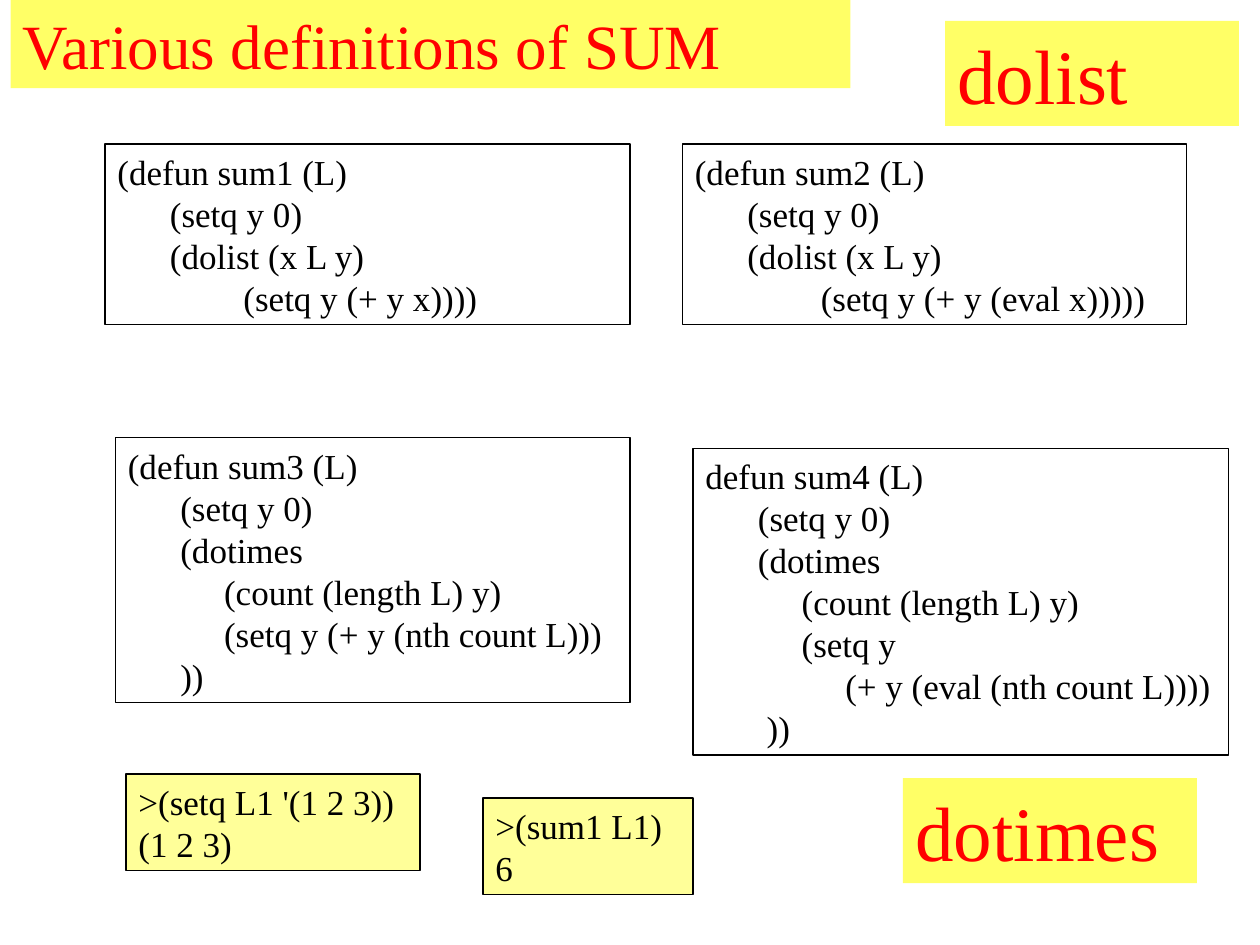
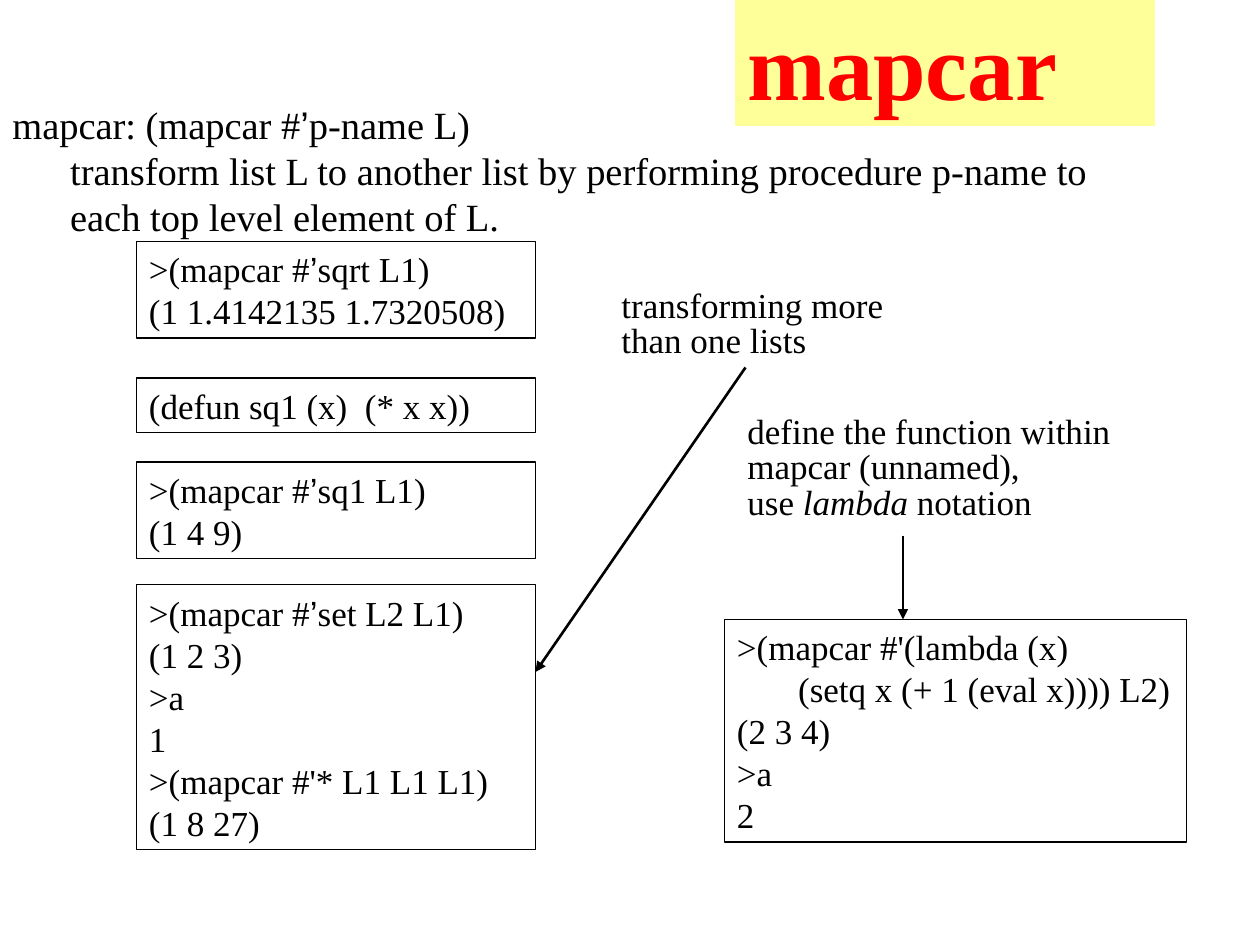
from dataclasses import dataclass

from lxml.etree import SubElement
from pptx import Presentation
from pptx.dml.color import RGBColor
from pptx.enum.shapes import MSO_CONNECTOR, MSO_SHAPE
from pptx.enum.text import MSO_ANCHOR, PP_ALIGN
from pptx.oxml.ns import qn
from pptx.util import Inches, Pt

COLORS = {"ink": "000000", "title": "FF0000", "band": "FFFF66", "pale": "FFFF99"}
SERIF, SANS = "Times New Roman", "Arial"
CELLS_PER_INCH = 12
COLUMNS, ROWS = 120, 90
CODE_LINE, CODE_MARGIN = 4, 1.2
QUOTE = {"name": SANS}


@dataclass
class Box:
    """A rectangle measured in grid cells of the slide."""
    left: float
    top: float
    width: float
    height: float

    def inner(self, column, row, width, height):
        """Return a box placed relative to this one."""
        return Box(self.left + column, self.top + row, width, height)

    def lengths(self):
        """Return the position and size as slide lengths."""
        return [cells(value) for value in (self.left, self.top, self.width, self.height)]


def cells(count):
    """Turn a number of grid cells into a slide length."""
    return Inches(count / CELLS_PER_INCH)


def rgb(name):
    """Look up a colour by its name."""
    return RGBColor.from_string(COLORS[name])


def write_text(shape, lines, size=20, color="ink", bold=False, spacing=None, indent=0, accent=None):
    """Fill a shape with lines; odd pieces of a tuple line take the accent format."""
    frame = shape.text_frame
    frame.word_wrap = True
    frame.vertical_anchor = MSO_ANCHOR.TOP
    for index, line in enumerate(lines):
        paragraph = frame.paragraphs[0] if index == 0 else frame.add_paragraph()
        paragraph.alignment = PP_ALIGN.LEFT
        if spacing:
            paragraph.line_spacing = spacing
        pieces = (line,) if isinstance(line, str) else line
        properties = paragraph._p.get_or_add_pPr()
        if indent and index:
            properties.set("marL", str(cells(indent)))
        if "\t" in pieces[0]:
            stops = SubElement(properties, qn("a:tabLst"))
            SubElement(stops, qn("a:tab"), pos=str(Inches(1)), algn="l")
        for position, piece in enumerate(pieces):
            run = paragraph.add_run()
            run.text = piece
            font = run.font
            font.name, font.size, font.bold = SERIF, Pt(size), bold
            font.color.rgb = rgb(color)
            if position % 2:
                font.name = accent.get("name", SERIF)
                font.italic = accent.get("italic", False)


def add_panel(slide, box, lines, fill=None, outline=False, **text_format):
    """Add a rectangle that holds text."""
    shape = slide.shapes.add_shape(MSO_SHAPE.RECTANGLE, *box.lengths())
    shape.shadow.inherit = False
    if fill:
        shape.fill.solid()
        shape.fill.fore_color.rgb = rgb(fill)
    else:
        shape.fill.background()
    if outline:
        shape.line.color.rgb = rgb("ink")
        shape.line.width = Pt(0.75)
    else:
        shape.line.fill.background()
    write_text(shape, lines, **text_format)


def add_title(slide, box, text, size=44, fill="band", bold=False):
    """Add a red heading on a yellow band."""
    add_panel(slide, box, [text], fill=fill, size=size, color="title", bold=bold)


def add_code(slide, box, column, row, width, lines, fill=None):
    """Add an outlined code panel as tall as its lines need."""
    height = CODE_LINE * len(lines) + CODE_MARGIN
    add_panel(slide, box.inner(column, row, width, height), lines, fill=fill, outline=True, accent=QUOTE)


def add_note(slide, box, lines, **text_format):
    """Add plain text without fill or outline."""
    write_text(slide.shapes.add_textbox(*box.lengths()), lines, **text_format)


def add_arrow(slide, box, start, end):
    """Draw an arrow between two grid points of the box."""
    ends = [cells(value) for column, row in (start, end)
            for value in (box.left + column, box.top + row)]
    arrow = slide.shapes.add_connector(MSO_CONNECTOR.STRAIGHT, *ends)
    arrow.line.color.rgb = rgb("ink")
    arrow.line.width = Pt(1.5)
    properties = arrow._element.spPr
    SubElement(properties.find(qn("a:ln")), qn("a:tailEnd"), type="triangle")
    SubElement(properties, qn("a:effectLst"))


def opening(name):
    """Return the first lines that every dolist definition shares."""
    return [f"(defun {name} (L)", "      (setq y 0)", "      (dolist (x L y)"]


def place_dolist(slide, box):
    """Place the two dolist definitions and their label."""
    add_code(slide, box, 10, 13.7, 50, opening("sum1") + ["\t(setq y (+ y x))))"])
    add_code(slide, box, 65, 13.7, 48, opening("sum2") + ["\t(setq y (+ y (eval x)))))"])
    add_title(slide, box.inner(90, 2, 28, 10), "dolist")


def place_dotimes(slide, box):
    """Place the two dotimes definitions and their label."""
    loop = ["      (setq y 0)", "      (dotimes", "           (count (length L) y)"]
    add_code(slide, box, 11, 0, 49, [
        "(defun sum3 (L)", *loop,
        "           (setq y (+ y (nth count L)))",
        "      ))"])
    add_code(slide, box, 66, 1, 51, [
        "defun sum4 (L)", *loop,
        "           (setq y",
        "                (+ y (eval (nth count L))))",
        "       ))"])
    add_title(slide, box.inner(86, 32.4, 28, 10), "dotimes")


def place_session(slide, box):
    """Place the two sample calls."""
    add_code(slide, box, 0, 0, 28, [">(setq L1 '(1 2 3))", "(1 2 3)"], fill="pale")
    add_code(slide, box, 34, 2.3, 20, [">(sum1 L1)", "6"], fill="pale")


def place_mapcar_examples(slide, box):
    """Place the column of mapcar calls with the note on several lists."""
    examples = {
        0: [(">(mapcar #", "’", "sqrt L1)"), "(1 1.4142135 1.7320508)"],
        13: ["(defun sq1 (x)  (* x x))"],
        21: [(">(mapcar #", "’", "sq1 L1)"), "(1 4 9)"],
        32.7: [(">(mapcar #", "’", "set L2 L1)"), "(1 2 3)", ">a", "1",
               ">(mapcar #'* L1 L1 L1)", "(1 8 27)"],
    }
    for row, lines in examples.items():
        add_code(slide, box, 0, row, 38, lines)
    add_note(slide, box.inner(45, 4, 33, 8), ["transforming more than one lists"], spacing=0.85)
    add_arrow(slide, box, (58, 12), (38, 41))


def place_lambda(slide, box):
    """Place the lambda example below its explanation."""
    add_note(slide, box.inner(1, 0, 44, 11.4), [
        "define the function within mapcar (unnamed),",
        ("use ", "lambda", " notation")], spacing=0.85, accent={"italic": True})
    add_arrow(slide, box, (17, 12), (17, 20))
    add_code(slide, box, 0, 20, 44, [
        ">(mapcar #'(lambda (x)",
        "       (setq x (+ 1 (eval x)))) L2)",
        "(2 3 4)", ">a", "2"])


def build_sum_slide(slide, page):
    """Build the slide that compares definitions of SUM."""
    place_dolist(slide, page)
    place_dotimes(slide, page.inner(0, 41.7, COLUMNS, 43))
    add_title(slide, page.inner(1, 0, 80, 8.4), "Various definitions of SUM", size=36)
    place_session(slide, page.inner(12, 73.7, 54, 12))


def build_mapcar_slide(slide, page):
    """Build the slide that explains mapcar."""
    add_note(slide, page.inner(0, 9, 118, 14.4), [
        ("mapcar: (mapcar #", "’", "p-name L)"),
        "transform list L to another list by performing procedure p-name to",
        "each top level element of L."], size=22, indent=5.5, accent=QUOTE)
    place_mapcar_examples(slide, page.inner(13, 23, 78, 58))
    place_lambda(slide, page.inner(69, 39, 45, 42))
    add_title(slide, page.inner(70, 0, 40, 12), "mapcar", size=54, fill="pale", bold=True)


def main():
    """Create the presentation and save it."""
    presentation = Presentation()
    presentation.slide_width, presentation.slide_height = cells(COLUMNS), cells(ROWS)
    page = Box(0, 0, COLUMNS, ROWS)
    for build in (build_sum_slide, build_mapcar_slide):
        build(presentation.slides.add_slide(presentation.slide_layouts[6]), page)
    presentation.save("out.pptx")


if __name__ == "__main__":
    main()
